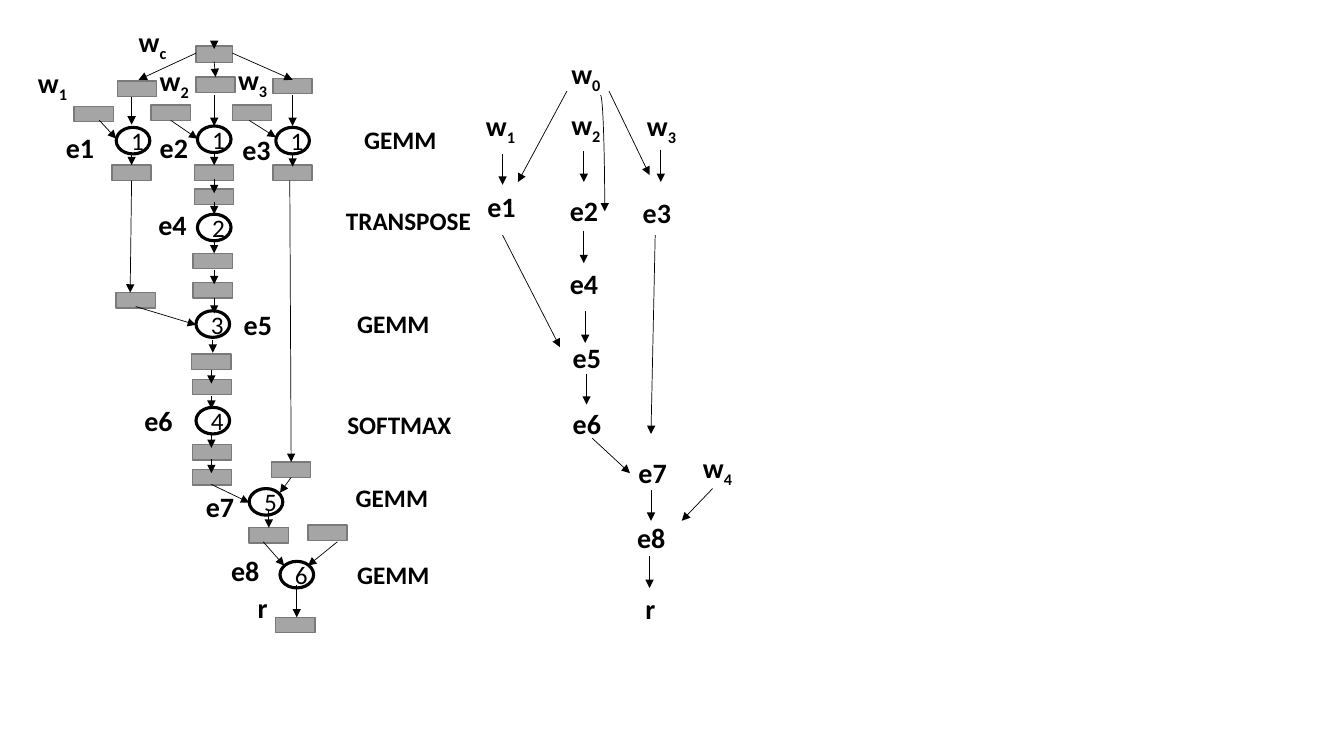
"""Draw a computation graph with its buffers beside the matching dependency graph."""
from lxml import etree
from pptx import Presentation
from pptx.dml.color import RGBColor
from pptx.enum.shapes import MSO_CONNECTOR, MSO_SHAPE
from pptx.enum.text import MSO_ANCHOR, MSO_AUTO_SIZE, PP_ALIGN
from pptx.oxml.ns import qn
from pptx.util import Pt

STRAIGHT = MSO_CONNECTOR.STRAIGHT
OVAL, RECTANGLE, ARC = MSO_SHAPE.OVAL, MSO_SHAPE.RECTANGLE, MSO_SHAPE.ARC
MIDDLE, CENTER = MSO_ANCHOR.MIDDLE, PP_ALIGN.CENTER
FIT_SHAPE = MSO_AUTO_SIZE.SHAPE_TO_FIT_TEXT


def color(value):
    return RGBColor.from_string(value)


class Diagram:
    FONT, INK, WHITE = "Calibri", "000000", "FFFFFF"
    BUFFER_FILL, BUFFER_LINE = "A5A5A5", "7A7A7A"
    HAIRLINE = 0.5

    def __init__(self, slide):
        self.slide = slide
        self.shapes = slide.shapes

    def start_group(self):
        self.shapes = self.slide.shapes.add_group_shape().shapes

    def end_group(self):
        self.shapes = self.slide.shapes

    def style_font(self, font, size, bold=False):
        font.name, font.size, font.bold = self.FONT, Pt(size), bold
        font.color.rgb = color(self.INK)

    def shape(self, kind, left, top, width, height, fill, line, weight):
        shape = self.shapes.add_shape(kind, Pt(left), Pt(top), Pt(width), Pt(height))
        shape.shadow.inherit = False
        if fill:
            shape.fill.solid()
            shape.fill.fore_color.rgb = color(fill)
        else:
            shape.fill.background()
        shape.line.color.rgb = color(line)
        shape.line.width = Pt(weight)
        return shape

    def operation(self, number, left, top):
        circle = self.shape(OVAL, left, top, 24, 19, self.WHITE, self.INK, 2.25)
        circle.text_frame.vertical_anchor = MIDDLE
        paragraph = circle.text_frame.paragraphs[0]
        paragraph.text, paragraph.alignment = number, CENTER
        self.style_font(paragraph.font, 18)

    def buffer(self, left, top, width=28, height=11):
        self.shape(RECTANGLE, left, top, width, height, self.BUFFER_FILL, self.BUFFER_LINE, 1)

    def add_head(self, line):
        etree.SubElement(line.get_or_add_ln(), qn("a:tailEnd"), type="triangle")

    def arrow(self, x1, y1, x2, y2):
        arrow = self.shapes.add_connector(STRAIGHT, Pt(x1), Pt(y1), Pt(x2), Pt(y2))
        arrow.line.color.rgb = color(self.INK)
        arrow.line.width = Pt(self.HAIRLINE)
        self.add_head(arrow)
        etree.SubElement(arrow._element.spPr, qn("a:effectLst"))

    def drop(self, x, top, bottom):
        self.arrow(x, top, x, bottom)

    def curve(self, left, top, width, height):
        self.add_head(self.shape(ARC, left, top, width, height, None, self.INK, self.HAIRLINE))

    def label(self, text, left, top, width=114, height=32, size=20):
        box = self.shapes.add_textbox(Pt(left), Pt(top), Pt(width), Pt(height))
        frame = box.text_frame
        frame.word_wrap, frame.auto_size = True, FIT_SHAPE
        paragraph = frame.paragraphs[0]
        base, _, subscript = text.partition("_")
        paragraph.add_run().text = base
        if subscript:
            lowered = paragraph.add_run()
            lowered.text = subscript
            lowered._r.get_or_add_rPr().set("baseline", "-25000")
        self.style_font(paragraph.font, size, True)

    def draw(self, method, rows):
        for row in rows:
            method(*row)


OPERATIONS = [("1", 141, 90), ("2", 141, 153), ("4", 140, 291), ("1", 197, 91),
              ("1", 83, 91), ("3", 140, 222), ("5", 178, 349), ("6", 200, 401)]
BUFFERS = [(140, 33, 26, 11.5), (53, 76), (84, 58), (140, 55), (195, 56), (108, 75),
           (166, 75), (139, 118), (80, 118), (195, 118), (139, 135), (138, 181),
           (138, 202), (137, 253), (137.5, 271), (137.5, 317.5), (137.5, 335.5),
           (83, 209), (194, 330), (178, 377), (220, 375), (197, 441)]
BUFFER_DROPS = [(153, 29, 35), (153, 68, 90), (94, 69, 89), (209, 68, 90),
                (94, 109, 118), (153, 109, 118), (209, 109, 119), (153, 128, 138),
                (153, 144, 153), (153, 173, 181), (153, 193, 203), (153, 213, 224),
                (152, 243, 252), (151, 264, 274), (151, 283, 292), (151, 310, 320),
                (151, 328, 338), (192, 365, 377), (212, 418, 441)]
BUFFER_ARROWS = [(153, 44, 154, 55), (140, 38, 99, 57), (166, 38, 209, 57),
                 (71, 86, 83, 99), (122, 86, 141, 99), (178, 86, 197, 98),
                 (94, 129, 93, 209), (207, 129, 208, 330), (97, 219, 140, 232),
                 (151, 346, 178, 359), (208, 341, 200, 352), (188, 387, 203, 404),
                 (241, 387, 220, 404)]
KERNELS = [("GEMM", 253, 85, 86), ("TRANSPOSE", 240, 143, 125), ("GEMM", 248, 217, 86),
           ("SOFTMAX", 241, 289, 91), ("GEMM", 247, 341, 86), ("GEMM", 248, 396, 86)]
BUFFER_LABELS = [("e1", 40, 90), ("e2", 107, 90), ("e3", 166, 91), ("e4", 106, 145),
                 ("e5", 167, 216), ("e6", 96, 285), ("e7", 140, 346), ("e8", 158, 392),
                 ("w_c", 92, 14), ("w_1", 20, 43), ("w_2", 107, 42, 41),
                 ("w_3", 163, 41, 41), ("r", 177, 418)]
DEPENDENCY_LABELS = [("w_0", 401, 37), ("w_1", 340, 74), ("w_2", 401, 73, 41),
                     ("w_3", 455, 74, 41), ("w_4", 495, 318, 41), ("e1", 341, 132),
                     ("e2", 400, 135), ("e3", 452, 136), ("e4", 400, 187),
                     ("e5", 402, 240), ("e6", 402, 287), ("e7", 449, 322),
                     ("e8", 448, 368), ("r", 454, 419)]
DEPENDENCY_DROPS = [(359, 110, 132), (417, 108, 130), (472, 107, 130), (417, 165, 188),
                    (418, 222, 245), (419, 267, 289), (465, 350, 372), (464, 397, 420)]
DEPENDENCY_ARROWS = [(405, 65, 370, 130), (435, 65, 464, 125), (359, 168, 400, 248),
                     (468, 168, 465, 310), (423, 313, 450, 338), (509, 349, 487, 372)]

presentation = Presentation()
presentation.slide_width, presentation.slide_height = Pt(960), Pt(540)
diagram = Diagram(presentation.slides.add_slide(presentation.slide_layouts[6]))

diagram.start_group()
diagram.draw(diagram.operation, OPERATIONS)
diagram.draw(diagram.buffer, BUFFERS)
diagram.draw(diagram.drop, BUFFER_DROPS)
diagram.draw(diagram.arrow, BUFFER_ARROWS)
diagram.end_group()

for kernel, left, top, width in KERNELS:
    diagram.label(kernel, left, top, width, height=29, size=18)
diagram.draw(diagram.label, BUFFER_LABELS)

diagram.start_group()
diagram.draw(diagram.label, DEPENDENCY_LABELS)
diagram.draw(diagram.drop, DEPENDENCY_DROPS)
diagram.draw(diagram.arrow, DEPENDENCY_ARROWS)
diagram.curve(426, 68, 6, 166)
diagram.end_group()

presentation.save("out.pptx")
